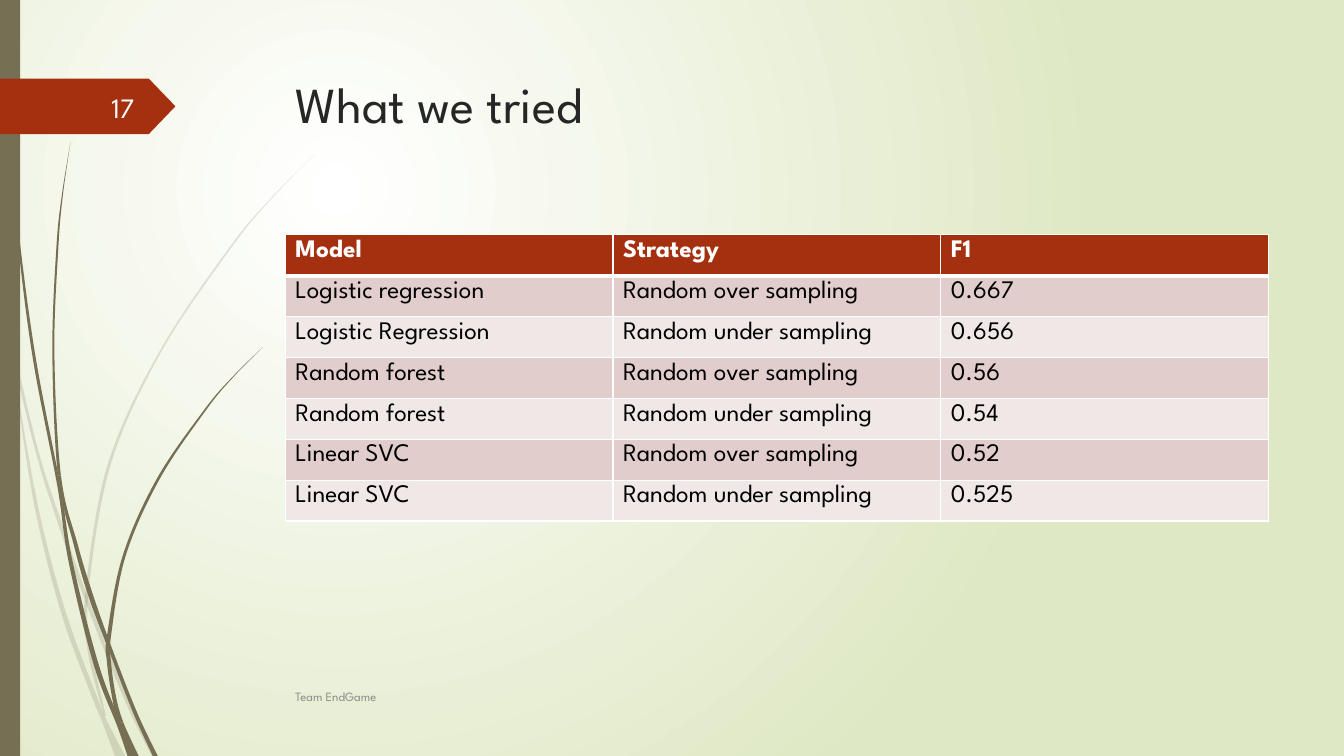
from pptx import Presentation
from pptx.dml.color import RGBColor
from pptx.enum.shapes import MSO_SHAPE
from pptx.enum.text import MSO_ANCHOR, PP_ALIGN
from pptx.oxml.ns import qn
from pptx.util import Inches, Pt
from lxml.etree import SubElement

TITLE = "What we tried"
FOOTER = "Team EndGame"
NUMBER = "17"
RESULTS = [
    ("Model", "Strategy", "F1"),
    ("Logistic regression", "Random over sampling", "0.667"),
    ("Logistic Regression", "Random under sampling", "0.656"),
    ("Random forest", "Random over sampling", "0.56"),
    ("Random forest", "Random under sampling", "0.54"),
    ("Linear SVC", "Random over sampling", "0.52"),
    ("Linear SVC", "Random under sampling", "0.525"),
]

# Each blade of grass: the knots where it is cut into pieces, then
# (x, y, width) along its centre line, in inches
PALE_BLADES = [
    ((1, 4), [(0, 2.9, .03), (.12, 3.45, .03), (.37, 4.49, .03), (.6, 5.21, .04),
              (.86, 5.95, .04), (1.25, 6.93, .04), (1.53, 7.5, .05)]),
    ((5,), [(.11, 3.5, 0), (.3, 4.7, .03), (.46, 5.46, .04), (.67, 6.2, .05),
            (.94, 6.92, .05), (1.03, 7.14, .05), (1.19, 7.5, .1)]),
    ((5,), [(3.12, 1.53, 0), (2.68, 1.98, .01), (2.29, 2.45, .02), (1.59, 3.49, .02),
            (1.08, 4.62, .03), (.86, 5.9, .03), (.89, 6.46, .04), (1.04, 7.1, .02)]),
]
DARK_BLADES = [
    ((4, 7), [(.03, 0, .01), (.07, 1.1, .01), (.18, 2.33, .02), (.34, 3.55, .03),
              (.58, 4.8, .03), (.7, 5.57, .04), (.95, 6.58, .05), (1.19, 7.21, .05),
              (1.31, 7.5, .09)]),
    ((4, 7), [(.7, 1.41, 0), (.62, 1.93, .01), (.57, 2.45, .02), (.53, 3.49, .02),
              (.59, 4.72, .03), (.75, 5.4, .04), (.9, 5.91, .05), (1.09, 6.43, .04),
              (1.34, 7.07, .04), (1.54, 7.5, .05)]),
    ((5, 8), [(2.61, 3.44, 0), (2.31, 3.74, .01), (2.04, 4.06, .02), (1.57, 4.75, .03),
              (1.23, 5.52, .03), (1.08, 6.32, .04), (1.08, 6.56, .04),
              (1.13, 6.91, .04), (1.2, 7.17, .05), (1.35, 7.5, .05)]),
]

COLORS = {"white": "FFFFFF", "backdrop": "DFE8C4", "olive": "766F54",
          "rust": "A53010", "title": "262626", "footer": "8C8C8C",
          "number": "FEFFFF", "body": "000000", "odd": "E1CDCC", "even": "F0E8E7"}
FONT = "League Spartan"
WIDTH, HEIGHT = 13.33, 7.5
LEFT, CONTENT_WIDTH = 2.83, 9.75
TABLE_TOP, TABLE_HEIGHT = 2.33, 2.84


def rgb(name):
    return RGBColor.from_string(COLORS[name])


def write(tf, text, size, color, bold=False, align=PP_ALIGN.LEFT):
    p = tf.paragraphs[0]
    p.alignment = align
    r = p.add_run()
    r.text = text
    r.font.name, r.font.size, r.font.bold = FONT, Pt(size), bold
    r.font.color.rgb = rgb(color)


def text_box(s, box, text, anchor=MSO_ANCHOR.MIDDLE, **style):
    tf = s.shapes.add_textbox(*map(Inches, box)).text_frame
    tf.word_wrap = True
    tf.vertical_anchor = anchor
    write(tf, text, **style)


def paint(sp, color, alpha=100):
    sp.shadow.inherit = False
    sp.line.fill.background()
    sp.fill.solid()
    sp.fill.fore_color.rgb = rgb(color)
    if alpha < 100:
        srgb = next(sp._element.spPr.iter(qn("a:srgbClr")))
        SubElement(srgb, qn("a:alpha"), val=str(alpha * 1000))


def bezier_points(knots):
    """For each span between knots: start, two control points, end."""
    ends = [knots[0], *knots, knots[-1]]
    spans = []
    for a, b, c, d in zip(ends, ends[1:], ends[2:], ends[3:]):
        out = tuple(q + (r - p) / 6 for p, q, r in zip(a, b, c))
        into = tuple(q - (r - p) / 6 for p, q, r in zip(b, c, d))
        spans.append((b, out, into, c))
    return spans


def add_curved_shape(s, outline):
    """Draw a closed outline: a start, then three points for each curve."""
    points = [(Inches(max(x, 0)), Inches(y)) for x, y in outline]
    builder = s.shapes.build_freeform(*points[0], scale=1.0)
    builder.add_line_segments(points[1:], close=True)
    sp = builder.convert_to_shape()
    lines = list(sp._element.iter(qn("a:lnTo")))
    for i in range(0, len(points) - 1, 3):
        curve = SubElement(lines[i].getparent(), qn("a:cubicBezTo"))
        lines[i].addprevious(curve)
        for line in lines[i:i + 3]:
            curve.append(line[0])
            line.getparent().remove(line)
    return sp


def add_blade(s, joints, knots, alpha):
    left = bezier_points([(x - w / 2, y) for x, y, w in knots])
    right = bezier_points([(x + w / 2, y) for x, y, w in knots])
    cuts = [0, *joints, len(left)]
    for start, stop in zip(cuts, cuts[1:]):
        outline = [left[start][0]]
        for span in left[start:stop]:
            outline += span[1:]
        tip = right[stop - 1][3]
        outline += [outline[-1], tip, tip]
        for span in reversed(right[start:stop]):
            outline += span[2::-1]
        paint(add_curved_shape(s, outline), "olive", alpha)


def set_background(s):
    fill = s.background.fill
    fill.gradient()
    for stop, color in zip(fill.gradient_stops, ("white", "backdrop")):
        stop.color.rgb = rgb(color)
    lin = next(s._element.iter(qn("a:lin")))
    grad = lin.getparent()
    grad.remove(lin)
    circle = SubElement(grad, qn("a:path"), path="circle")
    SubElement(circle, qn("a:fillToRect"), l="50000", t="50000", r="100000", b="100000")


def set_borders(cell, top, bottom):
    tcPr = cell._tc.get_or_add_tcPr()
    for side, points in (("L", 1), ("R", 1), ("T", top), ("B", bottom)):
        ln = SubElement(tcPr, qn(f"a:ln{side}"), w=str(Pt(points)))
        SubElement(SubElement(ln, qn("a:solidFill")), qn("a:srgbClr"), val=COLORS["white"])


def add_results(s):
    rows, cols = len(RESULTS), len(RESULTS[0])
    box = (LEFT, TABLE_TOP, CONTENT_WIDTH, TABLE_HEIGHT)
    table = s.shapes.add_table(rows, cols, *map(Inches, box)).table
    for i, values in enumerate(RESULTS):
        header = i == 0
        fill = "rust" if header else "odd" if i % 2 else "even"
        for j, value in enumerate(values):
            cell = table.cell(i, j)
            set_borders(cell, top=3 if i == 1 else 1, bottom=3 if header else 1)
            cell.fill.solid()
            cell.fill.fore_color.rgb = rgb(fill)
            write(cell.text_frame, value, size=18, bold=header,
                  color="white" if header else "body")


def main():
    prs = Presentation()
    prs.slide_width, prs.slide_height = Inches(WIDTH), Inches(HEIGHT)
    s = prs.slides.add_slide(prs.slide_layouts[6])
    set_background(s)

    for blades, alpha in ((PALE_BLADES, 20), (DARK_BLADES, 100)):
        for joints, knots in blades:
            add_blade(s, joints, knots, alpha)
    bar = s.shapes.add_shape(MSO_SHAPE.RECTANGLE, 0, 0, Inches(0.2), Inches(HEIGHT))
    paint(bar, "olive")
    tag = s.shapes.add_shape(MSO_SHAPE.PENTAGON, 0, Inches(0.78), Inches(1.74), Inches(0.55))
    tag.adjustments[0] = 0.48
    paint(tag, "rust")

    text_box(s, (LEFT, 0.68, CONTENT_WIDTH, 1.4), TITLE, anchor=MSO_ANCHOR.TOP,
             size=36, color="title")
    add_results(s)
    text_box(s, (LEFT, 6.71, 8.33, 0.4), FOOTER, size=9, color="footer")
    text_box(s, (0.58, 0.86, 0.85, 0.4), NUMBER, size=20, color="number",
             align=PP_ALIGN.RIGHT)
    prs.save("out.pptx")


if __name__ == "__main__":
    main()
